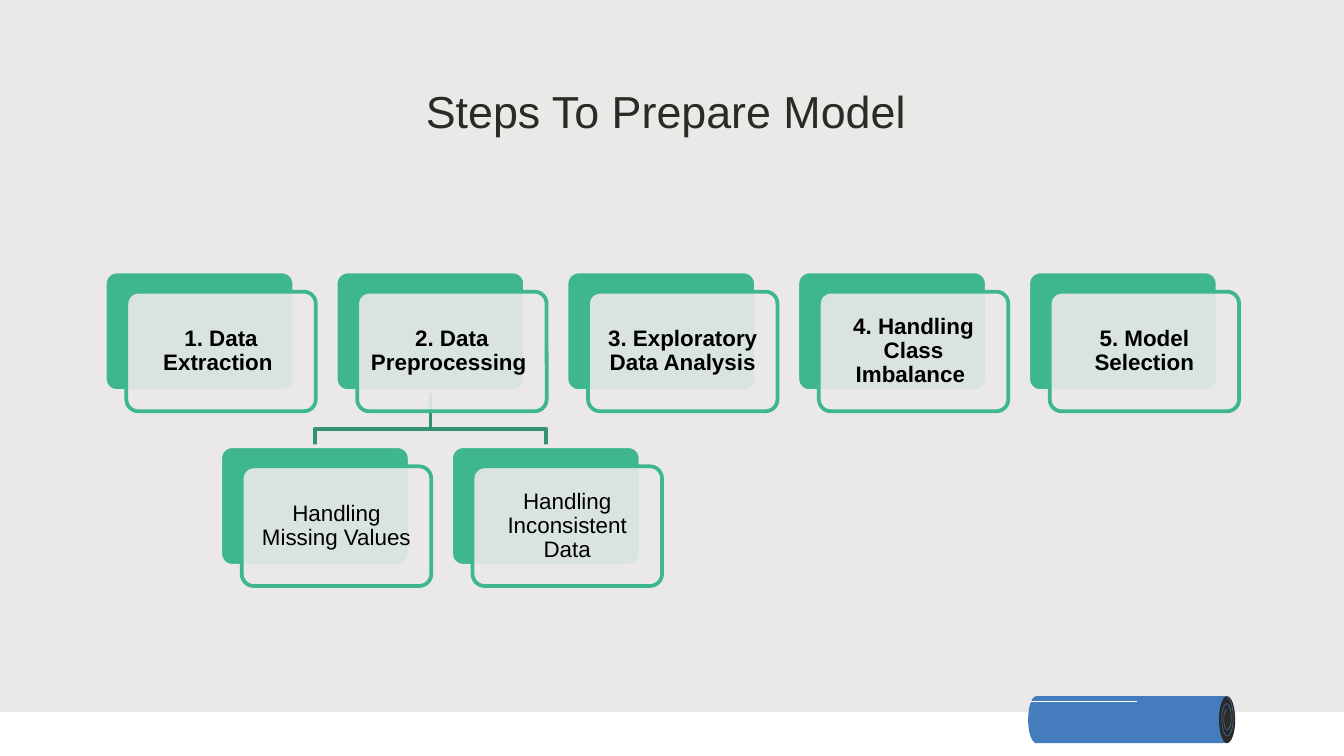
from dataclasses import dataclass
from math import cos, pi, sin

from lxml.etree import SubElement
from pptx import Presentation
from pptx.dml.color import RGBColor
from pptx.enum.shapes import MSO_SHAPE
from pptx.enum.text import MSO_ANCHOR, PP_ALIGN
from pptx.oxml.ns import qn
from pptx.util import Inches, Pt


@dataclass(frozen=True)
class Theme:
    """Colours, font, type sizes and line widths of the slide."""
    paper: str = "EAE9E8"
    white: str = "FFFFFF"
    blue: str = "457CBD"
    dark: str = "2C2A26"
    green: str = "3EB690"
    deep: str = "329273"
    black: str = "000000"
    font: str = "Arial"
    title: int = 24
    body: int = 12
    line: float = 2
    thin: float = 0.25


THEME = Theme()
STEPS = ["1. Data Extraction ", "2. Data Preprocessing ",
         "3. Exploratory Data Analysis", "4. Handling Class Imbalance ",
         "5. Model Selection"]
TASKS = ["Handling Missing Values", "Handling Inconsistent Data"]
WIDE, HIGH = 1.41, 0.89
SHIFT, DROP = 0.16, 0.15


def paint(shape, fill=None, line=None, width=THEME.line):
    """Set fill, line and no shadow."""
    shape.shadow.inherit = False
    if fill:
        shape.fill.solid()
        shape.fill.fore_color.rgb = RGBColor.from_string(fill)
    else:
        shape.fill.background()
    if line:
        shape.line.color.rgb = RGBColor.from_string(line)
        shape.line.width = Pt(width)
    else:
        shape.line.fill.background()


def block(slide, kind, box, fill, line=None):
    """Add a preset shape in the box, given in inches."""
    shape = slide.shapes.add_shape(kind, *map(Inches, box))
    paint(shape, fill, line)
    return shape


def trace(slide, points, line, width=THEME.line):
    """Draw an open line through points in inches."""
    start, *rest = [(Inches(x), Inches(y)) for x, y in points]
    pen = slide.shapes.build_freeform(*start)
    pen.add_line_segments(rest, close=False)
    paint(pen.convert_to_shape(), None, line, width)


def write(shape, text, size, color, inset, after, bold=False):
    """Put one centred paragraph in the shape."""
    frame = shape.text_frame
    frame.word_wrap = True
    frame.vertical_anchor = MSO_ANCHOR.MIDDLE
    frame.margin_left = frame.margin_right = Inches(inset)
    frame.margin_top = frame.margin_bottom = Inches(inset)
    frame.text = text
    para = frame.paragraphs[0]
    para.alignment = PP_ALIGN.CENTER
    para.line_spacing = 0.9
    para.space_before, para.space_after = Pt(0), Pt(after)
    font = para.font
    font.name, font.size, font.bold = THEME.font, Pt(size), bold
    font.color.rgb = RGBColor.from_string(color)


def heading(slide, box, text):
    """Place and format the title."""
    title = slide.shapes.title
    title.left, title.top, title.width, title.height = map(Inches, box)
    write(title, text, THEME.title, THEME.dark, 0.1, 6)


def floor(slide, box):
    """Draw the white strip and the log resting on it."""
    left, top, _, _ = box
    block(slide, MSO_SHAPE.RECTANGLE, box, THEME.white)
    log(slide, (left + 7.65, top - 0.12, 1.54, 0.35))


def log(slide, box):
    """Draw a lying log with a swirl on its cut end."""
    left, top, wide, high = box
    cap = 0.12
    oval = MSO_SHAPE.OVAL
    block(slide, oval, (left, top, cap, high), THEME.blue)
    block(slide, MSO_SHAPE.RECTANGLE,
          (left + cap / 2, top, wide - cap, high), THEME.blue)
    block(slide, oval, (left + wide - cap, top, cap, high), THEME.dark)
    swirl(slide, (left + wide - cap + 0.01, top + 0.01, 0.1, 0.31))
    trace(slide, [(left + 0.02, top + 0.04), (left + 0.81, top + 0.04)],
          THEME.white, THEME.thin)


def swirl(slide, box):
    """Draw a two-turn spiral that shrinks towards the middle of the box."""
    left, top, wide, high = box
    turns, count = 2, 48
    points = []
    for i in range(count + 1):
        angle = 2 * pi * turns * i / count
        size = (1 - 0.6 * i / count) / 2
        points.append((left + wide * (0.5 + size * sin(angle)),
                       top + high * (0.5 - size * cos(angle))))
    trace(slide, points, THEME.blue, THEME.thin)


def card(slide, box, text, bold):
    """Draw a green card with a pale labelled card over it."""
    left, top, wide, high = box
    kind = MSO_SHAPE.ROUNDED_RECTANGLE
    back = block(slide, kind, box, THEME.green, THEME.paper)
    front = block(slide, kind, (left + SHIFT, top + DROP, wide, high),
                  THEME.paper, THEME.green)
    back.adjustments[0] = front.adjustments[0] = 0.1
    tint = front.fill._xPr.find(qn("a:solidFill"))[0]
    SubElement(tint, qn("a:alpha"), val="90000")
    write(front, text, THEME.body, THEME.black, 0.05, 4, bold)


def row(slide, left, top, pitch, texts, bold):
    """Lay cards side by side at an equal pitch."""
    for i, text in enumerate(texts):
        card(slide, (left + i * pitch, top, WIDE, HIGH), text, bold)


def flow(slide, box):
    """Draw the steps, with the tasks branching off the second one."""
    left, top, wide, high = box
    pitch = (wide - WIDE - SHIFT) / (len(STEPS) - 1)
    low = top + high - HIGH - DROP
    stem = left + pitch + WIDE / 2
    for side in (1, -1):
        end = stem + side * pitch / 2
        trace(slide, [(stem, top + HIGH), (stem, low - 0.13),
                      (end, low - 0.13), (end, low)], THEME.deep)
    row(slide, left, top, pitch, STEPS, True)
    row(slide, left + pitch / 2, low, pitch, TASKS, False)


def main():
    """Build and save the slide."""
    deck = Presentation()
    deck.slide_width, deck.slide_height = Inches(10), Inches(10 * 9 / 16)
    slide = deck.slides.add_slide(deck.slide_layouts[5])
    ground = slide.background.fill
    ground.solid()
    ground.fore_color.rgb = RGBColor.from_string(THEME.paper)
    floor(slide, (0, 5.3, 10, 0.33))
    heading(slide, (0.78, 0.49, 8.44, 0.71), "Steps To Prepare Model ")
    flow(slide, (0.78, 2.02, 8.44, 2.34))
    deck.save("out.pptx")


if __name__ == "__main__":
    main()
